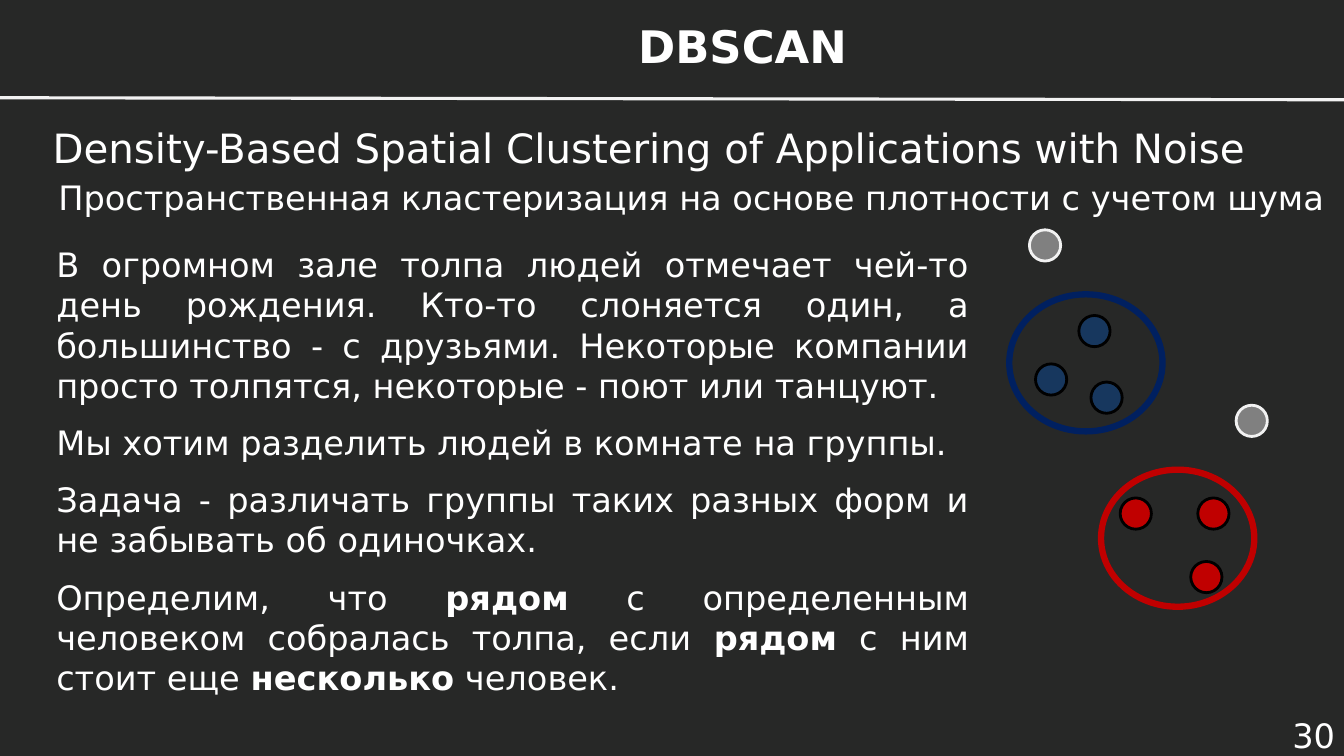
from dataclasses import dataclass

from lxml.etree import SubElement
from pptx import Presentation
from pptx.dml.color import RGBColor
from pptx.enum.shapes import MSO_CONNECTOR, MSO_SHAPE
from pptx.enum.text import MSO_ANCHOR, PP_ALIGN
from pptx.oxml.ns import qn
from pptx.util import Inches, Pt


@dataclass(frozen=True)
class Theme:
    font: str = "DejaVu Sans"
    background: str = "272827"
    text: str = "FFFFFF"
    rule: str = "F2F2F2"
    noise: str = "808080"
    blue_point: str = "17375E"
    blue_ring: str = "002060"
    red: str = "C00000"
    point_line: str = "000000"
    heading_size: float = 32
    subtitle_size: float = 28.8
    body_size: float = 24


theme = Theme()


def add_text(position, paragraphs, size, align, anchor=MSO_ANCHOR.TOP, bold=False, space_after=0):
    box = page.shapes.add_textbox(*map(Inches, position))
    frame = box.text_frame
    frame.word_wrap = True
    frame.vertical_anchor = anchor
    for index, pieces in enumerate(paragraphs):
        para = frame.paragraphs[0] if index == 0 else frame.add_paragraph()
        para.alignment = align
        para.space_after = Pt(space_after)
        for number, piece in enumerate(pieces):
            span = para.add_run()
            span.text = piece
            span.font.name = theme.font
            span.font.size = Pt(size)
            span.font.bold = bold or number % 2 == 1
            span.font.color.rgb = RGBColor.from_string(theme.text)


def add_ellipse(left, top, width, height, fill, line, line_width):
    ellipse = page.shapes.add_shape(
        MSO_SHAPE.OVAL, Inches(left), Inches(top), Inches(width), Inches(height))
    ellipse.shadow.inherit = False
    if fill:
        ellipse.fill.solid()
        ellipse.fill.fore_color.rgb = RGBColor.from_string(fill)
    else:
        ellipse.fill.background()
    ellipse.line.color.rgb = RGBColor.from_string(line)
    ellipse.line.width = Pt(line_width)


deck = Presentation()
deck.slide_width = Inches(13.33)
deck.slide_height = Inches(7.5)
page = deck.slides.add_slide(deck.slide_layouts[6])
page.background.fill.solid()
page.background.fill.fore_color.rgb = RGBColor.from_string(theme.background)

add_text((3.44, 0.19, 7.85, 0.53), [["DBSCAN"]], theme.heading_size,
         PP_ALIGN.CENTER, MSO_ANCHOR.MIDDLE, bold=True)

rule = page.shapes.add_connector(
    MSO_CONNECTOR.STRAIGHT, Inches(0), Inches(0.97), Inches(13.33), Inches(0.99))
rule.line.color.rgb = RGBColor.from_string(theme.rule)
rule.line.width = Pt(2.25)
SubElement(rule._element.spPr, qn("a:effectLst"))

add_text((0.22, 1.01, 12.44, 0.91),
         [["Density-Based Spatial Clustering of Applications with Noise"]],
         theme.subtitle_size, PP_ALIGN.CENTER, MSO_ANCHOR.MIDDLE)
add_text((0.48, 1.71, 12.86, 0.5),
         [["Пространственная кластеризация на основе плотности с учетом шума"]],
         theme.body_size, PP_ALIGN.LEFT)

story = [
    ["В огромном зале толпа людей отмечает чей-то день рождения. "
     "Кто-то слоняется один, а большинство - с друзьями. "
     "Некоторые компании просто толпятся, некоторые - поют или танцуют."],
    ["Мы хотим разделить людей в комнате на группы."],
    ["Задача - различать группы таких разных форм и не забывать об одиночках."],
    ["Определим, что ", "рядом", " с определенным человеком собралась толпа, если ",
     "рядом", " с ним стоит еще ", "несколько", " человек."],
]
add_text((0.46, 2.37, 9.25, 4.64), story, theme.body_size, PP_ALIGN.JUSTIFY, space_after=12)

point_groups = [
    (theme.noise, theme.rule, [(10.21, 2.28), (12.26, 4.02)]),
    (theme.blue_point, theme.point_line, [(10.7, 3.13), (10.27, 3.61), (10.82, 3.79)]),
    (theme.red, theme.point_line, [(11.11, 4.94), (11.88, 4.94), (11.81, 5.57)]),
]
for fill, line, corners in point_groups:
    for left, top in corners:
        add_ellipse(left, top, 0.31, 0.31, fill, line, 2)

for left, top, color in [(10.92, 4.66, theme.red), (10.01, 2.92, theme.blue_ring)]:
    add_ellipse(left, top, 1.52, 1.36, None, color, 4.5)

add_text((12.29, 7.08, 1.05, 0.42), [["30"]], theme.body_size,
         PP_ALIGN.RIGHT, MSO_ANCHOR.MIDDLE)

deck.save("out.pptx")
